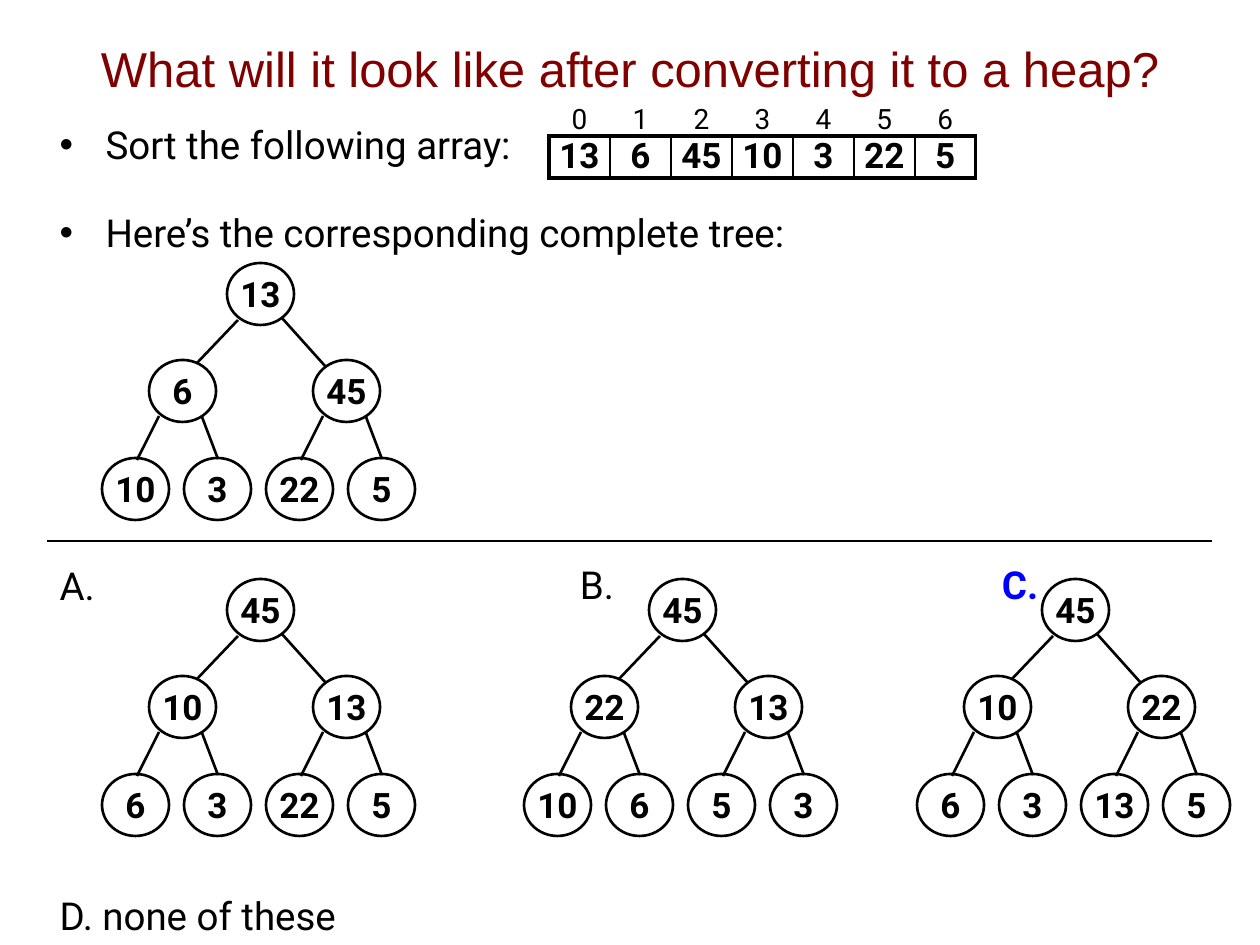
from lxml import etree
from pptx import Presentation
from pptx.dml.color import RGBColor
from pptx.enum.shapes import MSO_CONNECTOR, MSO_SHAPE
from pptx.enum.text import MSO_ANCHOR, MSO_AUTO_SIZE, PP_ALIGN
from pptx.oxml.ns import qn
from pptx.util import Emu, Pt

LINE, OVAL = MSO_CONNECTOR.STRAIGHT, MSO_SHAPE.OVAL
MIDDLE, BOTTOM, TOP = MSO_ANCHOR.MIDDLE, MSO_ANCHOR.BOTTOM, MSO_ANCHOR.TOP
CENTER, LEFT = PP_ALIGN.CENTER, PP_ALIGN.LEFT
NO_AUTOFIT = MSO_AUTO_SIZE.NONE

BLACK, MAROON, BLUE = "000000", "800000", "0000FF"
EMU_PER_PX = 914400 / 126

# Tree geometry, measured from the left of the first leaf and the top of the root
NODE_WIDTH, NODE_HEIGHT = 67, 62
LEAF_STEP = 82
CHILD_STEP = 2 * LEAF_STEP
ROOT_LEFT, CHILD_LEFT = 125, 47
CHILD_TOP, LEAF_TOP = 97, 195
ROOT_EDGES = [(136, 57, 95, 100), (180, 55, 224, 104)]
LEAF_EDGES = [(57, 153, 35, 197), (100, 154, 116, 196)]


def px(value):
    return Emu(round(value * EMU_PER_PX))


def color(value):
    return RGBColor.from_string(value)


class HeapSlide:
    font = "Roboto"
    line_width = 1.5

    def __init__(self, deck):
        self.page = deck.slides.add_slide(deck.slide_layouts[1])

    def style(self, para, size, ink=BLACK, bold=False, font=None, align=CENTER):
        para.alignment = align
        for span in para.runs:
            span.font.name = font or self.font
            span.font.size = Pt(size)
            span.font.bold = bold
            span.font.color.rgb = color(ink)

    def no_margins(self, holder):
        holder.margin_left = holder.margin_right = 0
        holder.margin_top = holder.margin_bottom = 0

    def place(self, box, left, top, width, height):
        box.left, box.top, box.width, box.height = map(px, (left, top, width, height))

    def title(self, text, *area):
        box = self.page.shapes.title
        self.place(box, *area)
        frame = box.text_frame
        frame.text = text
        frame.vertical_anchor = MIDDLE
        frame.auto_size = NO_AUTOFIT
        self.style(frame.paragraphs[0], 28, MAROON, font="Arial")

    def body(self, lines, *area):
        """Each line is (text, space before in points, bulleted)."""
        box = self.page.placeholders[1]
        self.place(box, *area)
        frame = box.text_frame
        frame.text = "\n".join(line[0] for line in lines)
        frame.vertical_anchor = TOP
        frame.auto_size = NO_AUTOFIT
        for para, (_, space, bulleted) in zip(frame.paragraphs, lines):
            self.style(para, 22, align=LEFT)
            para.space_before = Pt(space)
            self.indent(para, bulleted)

    def indent(self, para, bulleted):
        props = para._p.get_or_add_pPr()
        hang = px(46) if bulleted else 0
        props.set("marL", str(hang))
        props.set("indent", str(-hang))
        if bulleted:
            etree.SubElement(props, qn("a:buFont"), typeface="Arial")
            etree.SubElement(props, qn("a:buChar"), char="•")
        else:
            etree.SubElement(props, qn("a:buNone"))

    def label(self, text, left, top, ink=BLACK, bold=False):
        box = self.page.shapes.add_textbox(px(left), px(top), px(45), px(45))
        frame = box.text_frame
        self.no_margins(frame)
        frame.word_wrap = True
        frame.text = text
        self.style(frame.paragraphs[0], 22, ink, bold, align=LEFT)

    def line(self, x1, y1, x2, y2):
        edge = self.page.shapes.add_connector(LINE, px(x1), px(y1), px(x2), px(y2))
        edge.line.color.rgb = color(BLACK)
        edge.line.width = Pt(self.line_width)
        etree.SubElement(edge._element.spPr, qn("a:effectLst"))

    def node(self, value, left, top):
        circle = self.page.shapes.add_shape(
            OVAL, px(left), px(top), px(NODE_WIDTH), px(NODE_HEIGHT))
        circle.shadow.inherit = False
        circle.fill.background()
        circle.line.color.rgb = color(BLACK)
        circle.line.width = Pt(self.line_width)
        frame = circle.text_frame
        self.no_margins(frame)
        frame.word_wrap = False
        frame.vertical_anchor = MIDDLE
        frame.text = str(value)
        self.style(frame.paragraphs[0], 20, bold=True)

    def tree(self, values, left, top):
        """Seven values in level order."""
        spots = [(ROOT_LEFT, 0)]
        spots += [(CHILD_LEFT + CHILD_STEP * i, CHILD_TOP) for i in range(2)]
        spots += [(LEAF_STEP * i, LEAF_TOP) for i in range(4)]
        for value, (x, y) in zip(values, spots):
            self.node(value, left + x, top + y)
        edges = ROOT_EDGES + [(x1 + shift, y1, x2 + shift, y2)
                              for shift in (0, CHILD_STEP)
                              for x1, y1, x2, y2 in LEAF_EDGES]
        for x1, y1, x2, y2 in edges:
            self.line(left + x1, top + y1, left + x2, top + y2)

    def border(self, cell, side, width):
        """A width of 0 hides the border."""
        edge = etree.SubElement(cell._tc.get_or_add_tcPr(), qn("a:ln" + side),
                                w=str(Pt(width)))
        if width:
            fill = etree.SubElement(edge, qn("a:solidFill"))
            etree.SubElement(fill, qn("a:srgbClr"), val=BLACK)
        else:
            etree.SubElement(edge, qn("a:noFill"))

    def cell(self, cell, value, size, bold, anchor, borders):
        self.no_margins(cell)
        cell.vertical_anchor = anchor
        cell.text = str(value)
        self.style(cell.text_frame.paragraphs[0], size, bold=bold)
        for side, width in zip("LRTB", borders):
            self.border(cell, side, width)
        cell.fill.background()

    def array(self, values, left, top, column_width, row_height):
        count = len(values)
        table = self.page.shapes.add_table(
            2, count, px(left), px(top),
            px(column_width * count), px(row_height * 2)).table
        table.first_row = table.horz_banding = False
        for row in table.rows:
            row.height = px(row_height)
        for i, value in enumerate(values):
            table.columns[i].width = px(column_width)
            left_width = 2.25 if i == 0 else 1
            right_width = 2.25 if i == count - 1 else 1
            self.cell(table.cell(0, i), i, 16, False, BOTTOM, (0, 0, 0, 2.25))
            self.cell(table.cell(1, i), value, 20, True, TOP,
                      (left_width, right_width, 2.25, 2.25))


def main():
    deck = Presentation()
    deck.slide_width, deck.slide_height = px(1260), px(945)
    slide = HeapSlide(deck)
    numbers = [13, 6, 45, 10, 3, 22, 5]

    # Question and answer labels
    slide.title("What will it look like after converting it to a heap?", 82, 9, 1096, 117)
    slide.body([
        ("Sort the following array:", 14, True),
        ("Here’s the corresponding complete tree:", 24, True),
        ("A.", 175, False),
        ("D. none of these", 162, False),
    ], 47, 115, 1213, 774)
    slide.label("B.", 580, 561)
    slide.label("C.", 1002, 561, BLUE, bold=True)

    # Array and its complete tree
    slide.array(numbers, 549, 95, 61, 41)
    slide.tree(numbers, 102, 263)
    slide.line(47, 541, 1212, 541)

    # Candidate heaps
    for values, left in [([45, 10, 13, 6, 3, 22, 5], 102),
                         ([45, 22, 13, 10, 6, 5, 3], 524),
                         ([45, 10, 22, 6, 3, 13, 5], 917)]:
        slide.tree(values, left, 579)

    deck.save("out.pptx")


if __name__ == "__main__":
    main()
